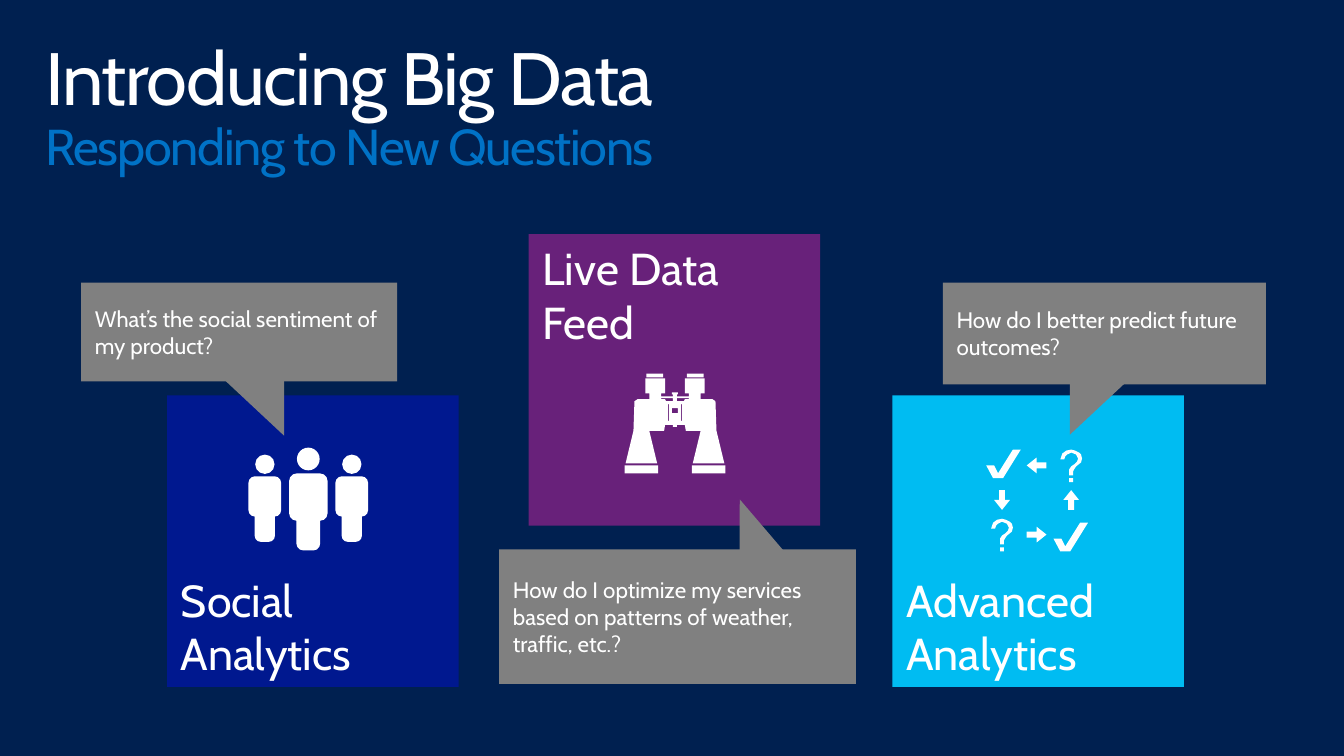
from dataclasses import dataclass

from pptx import Presentation
from pptx.dml.color import RGBColor
from pptx.enum.shapes import MSO_SHAPE as Kind
from pptx.enum.text import MSO_ANCHOR as Anchor, MSO_AUTO_SIZE as Fit, PP_ALIGN as Align
from pptx.shapes.autoshape import Shape
from pptx.slide import Slide
from pptx.util import Inches, Pt

NAVY = RGBColor(0x00, 0x20, 0x50)
WHITE = RGBColor(0xFF, 0xFF, 0xFF)
BLUE = RGBColor(0x00, 0x72, 0xC6)
CYAN = RGBColor(0x00, 0xBC, 0xF2)
PURPLE = RGBColor(0x68, 0x21, 0x7A)
INDIGO = RGBColor(0x00, 0x18, 0x8F)
GRAY = RGBColor(0x80, 0x80, 0x80)
FONT = "Cabin"
TILE = 2.95

Points = list[tuple[float, float]]


@dataclass
class Tile:
    text: str
    left: float
    top: float
    color: RGBColor
    anchor: Anchor


@dataclass
class Box:
    left: float
    top: float
    width: float
    height: float


@dataclass
class Callout:
    text: str
    body: Box
    tail: Box
    turn: float


@dataclass
class Person:
    mid: float
    head_top: float
    top: float
    scale: float


TILES = [
    Tile("Advanced Analytics", 9.03, 4, CYAN, Anchor.BOTTOM),
    Tile("Live Data Feed", 5.35, 2.37, PURPLE, Anchor.TOP),
    Tile("Social Analytics", 1.69, 4, INDIGO, Anchor.BOTTOM),
]
CALLOUTS = [
    Callout("How do I optimize my services based on patterns of weather, traffic, etc.?",
            Box(5.05, 5.56, 3.61, 1.36), Box(7.33, 5.03, 0.58, 0.78), 339.9),
    Callout("What’s the social sentiment of my product?",
            Box(0.82, 2.86, 3.2, 1), Box(2.4, 3.69, 0.65, 0.75), 156.5),
    Callout("How do I better predict future outcomes?",
            Box(9.54, 2.86, 3.27, 1.03), Box(10.65, 3.68, 0.65, 0.75), 203.5),
]
PEOPLE = [
    Person(3.12, 4.53, 4.79, 1),
    Person(3.56, 4.6, 4.82, 0.85),
    Person(2.68, 4.6, 4.82, 0.85),
]


def rect(left: float, top: float, right: float, bottom: float) -> Points:
    return [(left, top), (right, top), (right, bottom), (left, bottom)]


def mirror(points: Points) -> Points:
    return [(-x, y) for x, y in reversed(points)]


def turn(points: Points) -> Points:
    """Rotate a quarter turn clockwise about zero."""
    return [(-y, x) for x, y in points]


def shift(loops: list[Points], left: float, top: float) -> list[Points]:
    return [[(left + x, top + y) for x, y in loop] for loop in loops]


CHECK = [[(0.35, 0), (0.17, 0.29), (0.07, 0.29), (0, 0.16), (0.08, 0.16),
          (0.12, 0.24), (0.27, 0)]]
QUERY = [
    [(0.13, 0.26), (0.13, 0.22), (0.14, 0.2), (0.16, 0.17), (0.21, 0.13),
     (0.22, 0.09), (0.21, 0.05), (0.19, 0.03), (0.15, 0.01), (0.11, 0),
     (0.06, 0.01), (0.02, 0.04), (0, 0.1), (0.04, 0.1), (0.05, 0.07),
     (0.07, 0.05), (0.11, 0.03), (0.16, 0.05), (0.18, 0.09), (0.17, 0.12),
     (0.14, 0.15), (0.11, 0.17), (0.09, 0.2), (0.09, 0.26)],
    rect(0.09, 0.29, 0.13, 0.33),
]
RIGHT = [(-0.1, -0.03), (0, -0.03), (0, -0.08), (0.1, 0), (0, 0.08), (0, 0.03), (-0.1, 0.03)]
DOWN = turn(RIGHT)
LEFT = turn(DOWN)
UP = turn(LEFT)
CYCLE = [
    *shift(CHECK, 9.98, 4.55), *shift(CHECK, 10.66, 5.29),
    *shift(QUERY, 10.73, 4.55), *shift(QUERY, 10.03, 5.25),
    *shift([LEFT], 10.49, 4.71), *shift([RIGHT], 10.49, 5.41),
    *shift([DOWN], 10.14, 5.06), *shift([UP], 10.84, 5.06),
]
BARREL = [
    (0.03, 0.19), (0.03, 0.21), (0.02, 0.21), (0.02, 0.23), (0.14, 0.23),
    (0.14, 0.2), (0.1, 0.2), (0.1, 0.05), (0.3, 0.05), (0.3, 0.2), (0.26, 0.2),
    (0.26, 0.26), (0.38, 0.26), (0.41, 0.28), (0.42, 0.58), (0.5, 0.91),
    (0.18, 0.91), (0.26, 0.58), (0.11, 0.58), (0.1, 0.52), (0.02, 0.52), (0.02, 0.54),
]
PARTS = [
    rect(0.12, 0, 0.29, 0.04),
    rect(0.17, 0.93, 0.51, 1.01),
    [(0.02, 0.25), (0.14, 0.25), (0.14, 0.26), (0.1, 0.26), (0.09, 0.28), (0.02, 0.28)],
    rect(0.06, 0.31, 0.07, 0.48),
]
GLASSES = shift([BARREL + mirror(BARREL), rect(-0.03, 0.35, 0.03, 0.4),
                 *PARTS, *map(mirror, PARTS)], 6.83, 3.78)


def paint(shape: Shape, color: RGBColor) -> None:
    shape.shadow.inherit = False
    shape.fill.solid()
    shape.fill.fore_color.rgb = color
    shape.line.fill.background()


def add(slide: Slide, kind: Kind, box: Box, color: RGBColor = WHITE) -> Shape:
    shape = slide.shapes.add_shape(
        kind, Inches(box.left), Inches(box.top), Inches(box.width), Inches(box.height))
    paint(shape, color)
    return shape


def trace(slide: Slide, loops: list[Points]) -> None:
    """Draw closed outlines as one shape; inner loops are holes."""
    paths = [[(Inches(x), Inches(y)) for x, y in loop] for loop in loops]
    pen = slide.shapes.build_freeform(*paths[0][0], scale=1.0)
    for i, path in enumerate(paths):
        if i:
            pen.move_to(*path[0])
        pen.add_line_segments(path[1:], close=True)
    paint(pen.convert_to_shape(), WHITE)


def write(shape: Shape, text: str, size: float, anchor: Anchor) -> None:
    frame = shape.text_frame
    frame.word_wrap = True
    frame.vertical_anchor = anchor
    frame.margin_left = frame.margin_right = Inches(0.14)
    frame.margin_top = frame.margin_bottom = Inches(0.07)
    para = frame.paragraphs[0]
    para.text = text
    para.alignment = Align.LEFT
    para.font.name, para.font.size = FONT, Pt(size)
    para.font.color.rgb = WHITE


def add_title(slide: Slide) -> None:
    title = slide.shapes.title
    title.left, title.top = Inches(0.3), Inches(0.32)
    title.width, title.height = Inches(13), Inches(1)
    frame = title.text_frame
    frame.word_wrap, frame.auto_size = True, Fit.NONE
    frame.vertical_anchor = Anchor.TOP
    frame.margin_left = frame.margin_right = Inches(0.16)
    frame.margin_top = frame.margin_bottom = Inches(0.1)
    para = frame.paragraphs[0]
    para.alignment, para.line_spacing = Align.LEFT, 0.9
    para.font.name = FONT
    lines = [("Introducing Big Data", 54, WHITE), ("Responding to New Questions", 36.7, BLUE)]
    for i, (text, size, color) in enumerate(lines):
        if i:
            para.add_line_break()
        run = para.add_run()
        run.text = text
        run.font.size, run.font.color.rgb = Pt(size), color
        run.font.name = FONT
        run._r.get_or_add_rPr().set("spc", "-100")


def add_person(slide: Slide, who: Person) -> None:
    k = who.scale
    head = 0.23 * k
    add(slide, Kind.OVAL, Box(who.mid - head / 2, who.head_top, head, head))
    for width, top, height, bend in [(0.39, 0, 0.48, 0.2), (0.24, 0.3, 0.48, 0.29)]:
        part = add(slide, Kind.ROUNDED_RECTANGLE, Box(
            who.mid - width * k / 2, who.top + top * k, width * k, height * k))
        part.adjustments[0] = bend


def main() -> None:
    deck = Presentation()
    deck.slide_width, deck.slide_height = Inches(13.6), Inches(7.65)
    slide = deck.slides.add_slide(deck.slide_layouts[5])
    slide.background.fill.solid()
    slide.background.fill.fore_color.rgb = NAVY
    add_title(slide)
    for tile in TILES:
        shape = add(slide, Kind.RECTANGLE, Box(tile.left, tile.top, TILE, TILE), tile.color)
        write(shape, tile.text, 32.6, tile.anchor)
    trace(slide, CYCLE)
    trace(slide, GLASSES)
    for who in PEOPLE:
        add_person(slide, who)
    for call in CALLOUTS:
        tail = add(slide, Kind.ISOSCELES_TRIANGLE, call.tail, GRAY)
        tail.rotation = call.turn
        write(add(slide, Kind.RECTANGLE, call.body, GRAY), call.text, 16.3, Anchor.MIDDLE)
    deck.save("out.pptx")


if __name__ == "__main__":
    main()
